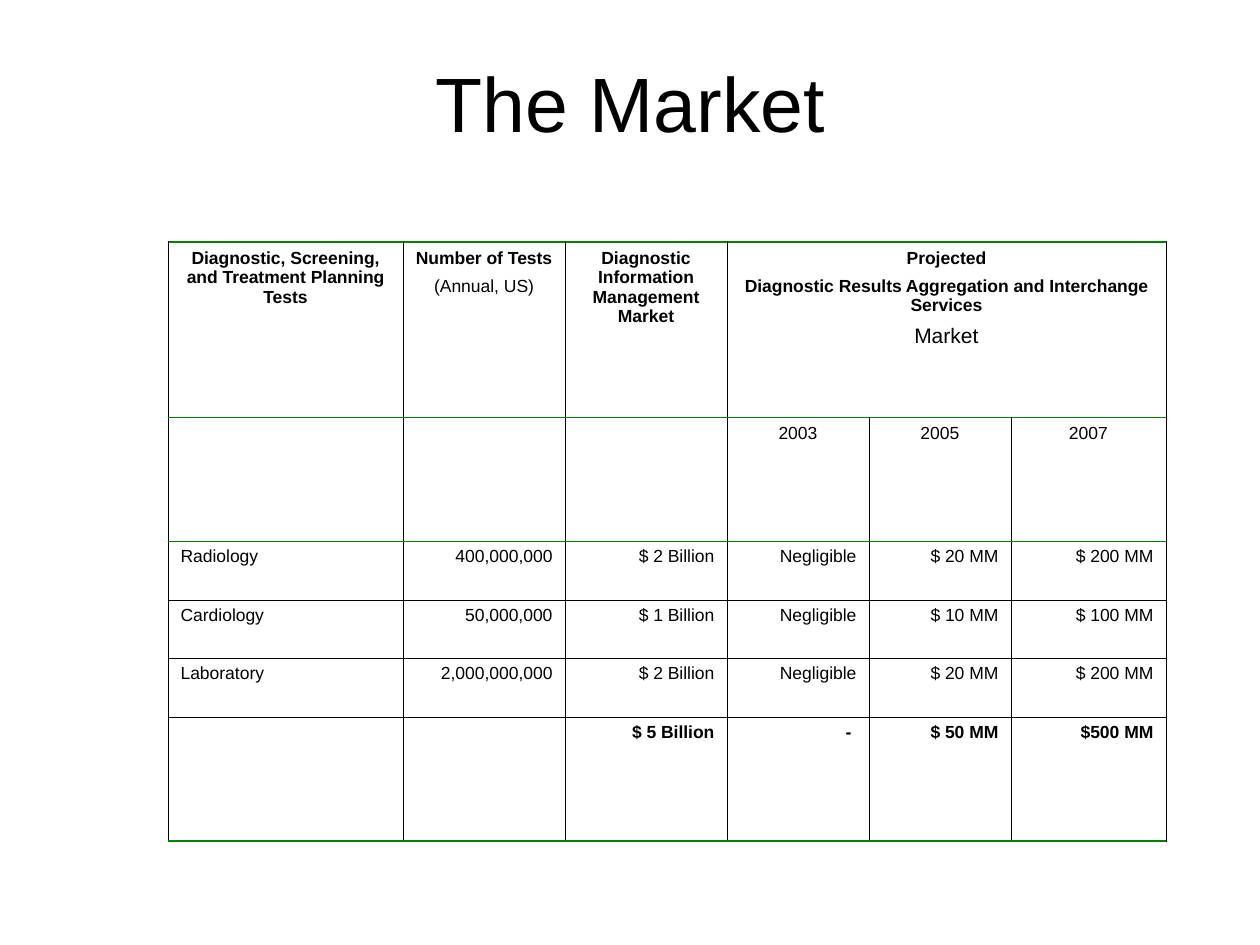
from lxml.etree import SubElement
from pptx import Presentation
from pptx.dml.color import RGBColor
from pptx.enum.text import MSO_ANCHOR, MSO_AUTO_SIZE, PP_ALIGN
from pptx.oxml.ns import qn
from pptx.util import Emu, Pt

BLACK = RGBColor(0x00, 0x00, 0x00)
GREEN = RGBColor(0x00, 0x80, 0x00)
FONT = "Arial"

COLUMN_WIDTHS = [235, 162, 162, 142, 142, 155]
ROW_HEIGHTS = [175, 124, 59, 58, 59, 124]

HEADINGS = [
    [("Diagnostic, Screening, and Treatment Planning Tests", 10, True)],
    [("Number of Tests", 10, True), ("(Annual, US)", 10, False)],
    [("Diagnostic Information Management Market", 10, True)],
    [
        ("Projected", 10, True),
        ("Diagnostic Results Aggregation and Interchange Services", 10, True),
        ("Market", 12, False),
    ],
]
ROWS = [
    ["", "", "", "2003", "2005", "2007"],
    ["Radiology", "400,000,000", "$ 2 Billion", "Negligible", "$ 20 MM", "$ 200 MM"],
    ["Cardiology", "50,000,000", "$ 1 Billion", "Negligible", "$ 10 MM", "$ 100 MM"],
    ["Laboratory", "2,000,000,000", "$ 2 Billion", "Negligible", "$ 20 MM", "$ 200 MM"],
    ["", "", "$ 5 Billion", "- ", "$ 50 MM", "$500 MM"],
]
YEAR_ROW, TOTAL_ROW = 1, 5
FIRST_YEAR_COLUMN = 3

THIN_LINE = (BLACK, 0.34)
DIVIDER_LINE = (BLACK, 0.45)
HEADING_LINE = (GREEN, 0.45)
OUTER_LINE = (GREEN, 0.96)
ROW_LINES = [OUTER_LINE, HEADING_LINE, HEADING_LINE, THIN_LINE, THIN_LINE, THIN_LINE, OUTER_LINE]
COLUMN_LINES = [THIN_LINE, THIN_LINE, THIN_LINE, DIVIDER_LINE, THIN_LINE, THIN_LINE, THIN_LINE]


def px(length):
    return Emu(round(length * 914400 / 126))


def format_font(para, size, bold=False):
    for span in para.runs:
        span.font.name = FONT
        span.font.size = Pt(size)
        span.font.bold = bold
        span.font.color.rgb = BLACK


def draw_border(cell, side, line):
    color, width = line
    border = SubElement(cell._tc.get_or_add_tcPr(), qn(f"a:ln{side}"), w=str(Pt(width)))
    fill = SubElement(border, qn("a:solidFill"))
    SubElement(fill, qn("a:srgbClr"), val=str(color))


def format_cell(cell, row, column):
    draw_border(cell, "L", COLUMN_LINES[column])
    draw_border(cell, "R", COLUMN_LINES[column + 1])
    draw_border(cell, "T", ROW_LINES[row])
    draw_border(cell, "B", ROW_LINES[row + 1])
    cell.fill.background()


def write_cell(cell, lines, align):
    cell.text_frame.text = "\n".join(text for text, size, bold in lines)
    for para, (text, size, bold) in zip(cell.text_frame.paragraphs, lines):
        para.alignment = align
        para.space_after = Pt(size / 2)
        format_font(para, size, bold)


def alignment_at(row, column):
    if row == YEAR_ROW:
        return PP_ALIGN.CENTER
    return PP_ALIGN.RIGHT if column else PP_ALIGN.LEFT


def add_title(page, left, top, width, height):
    title = page.shapes.title
    title.left, title.top, title.width, title.height = map(px, (left, top, width, height))
    frame = title.text_frame
    frame.text = "The Market"
    frame.auto_size = MSO_AUTO_SIZE.NONE
    frame.vertical_anchor = MSO_ANCHOR.MIDDLE
    frame.paragraphs[0].alignment = PP_ALIGN.CENTER
    format_font(frame.paragraphs[0], 44)


def add_market_table(page, left, top):
    box = page.shapes.add_table(
        len(ROW_HEIGHTS), len(COLUMN_WIDTHS), px(left), px(top),
        px(sum(COLUMN_WIDTHS)), px(sum(ROW_HEIGHTS)))
    table = box.table
    table.first_row = False
    table.horz_banding = False
    for column, width in zip(table.columns, COLUMN_WIDTHS):
        column.width = px(width)
    for row, height in zip(table.rows, ROW_HEIGHTS):
        row.height = px(height)
    for row in range(len(ROW_HEIGHTS)):
        for column in range(len(COLUMN_WIDTHS)):
            format_cell(table.cell(row, column), row, column)
    table.cell(0, FIRST_YEAR_COLUMN).merge(table.cell(0, len(COLUMN_WIDTHS) - 1))
    for column, lines in enumerate(HEADINGS):
        write_cell(table.cell(0, column), lines, PP_ALIGN.CENTER)
    for row, texts in enumerate(ROWS, start=1):
        for column, text in enumerate(texts):
            if text:
                line = (text, 10, row == TOTAL_ROW)
                write_cell(table.cell(row, column), [line], alignment_at(row, column))


def main():
    deck = Presentation()
    deck.slide_width, deck.slide_height = px(1260), px(945)
    page = deck.slides.add_slide(deck.slide_layouts[5])
    add_title(page, 95, 0, 1071, 203)
    add_market_table(page, 168, 242)
    deck.save("out.pptx")


if __name__ == "__main__":
    main()
